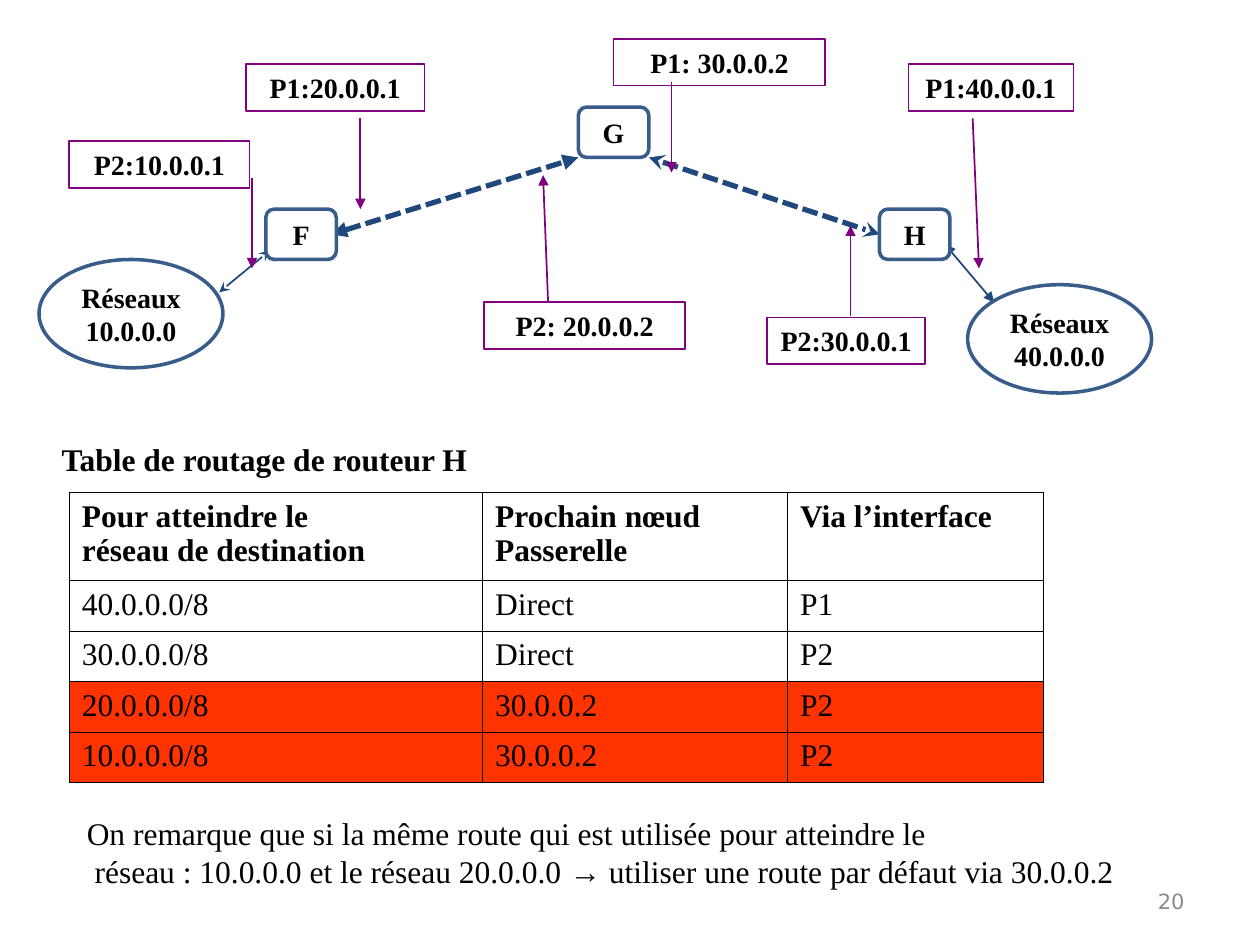
from lxml import etree
from pptx import Presentation
from pptx.dml.color import RGBColor
from pptx.enum.dml import MSO_LINE
from pptx.enum.shapes import MSO_CONNECTOR, MSO_SHAPE
from pptx.enum.text import MSO_ANCHOR, MSO_AUTO_SIZE, PP_ALIGN
from pptx.oxml.ns import qn
from pptx.util import Inches, Pt

STRAIGHT = MSO_CONNECTOR.STRAIGHT
DASHED = MSO_LINE.SQUARE_DOT
RECTANGLE, ROUNDED, OVAL = MSO_SHAPE.RECTANGLE, MSO_SHAPE.ROUNDED_RECTANGLE, MSO_SHAPE.OVAL
TOP, MIDDLE = MSO_ANCHOR.TOP, MSO_ANCHOR.MIDDLE
LEFT, CENTER, RIGHT = PP_ALIGN.LEFT, PP_ALIGN.CENTER, PP_ALIGN.RIGHT
FIT_SHAPE = MSO_AUTO_SIZE.SHAPE_TO_FIT_TEXT

WIDTH, HEIGHT = Inches(10), Inches(7.5)
GRID_COLUMNS, GRID_ROWS = 100, 75
SERIF = "Times New Roman"
BLACK, WHITE, RED, GREY = "000000", "FFFFFF", "FF3300", "898989"
NAVY, BLUE, PURPLE = "1F497D", "385D8A", "800080"
LEFT_SIDE = 1

LINKS = [
    (17.4, 23.2, 21.4, 19.9, "stealth", False),
    (26.3, 18.6, 45.9, 12.5, "triangle", True),
    (51.5, 12.5, 69.8, 18.6, "stealth", True),
    (75, 19.4, 78.9, 24, "triangle", False),
]
POINTERS = [
    (43.5, 24, 43.1, 13.9),
    (67.5, 25.1, 67.5, 17.9),
    (28.6, 9.4, 28.6, 16.6),
    (53.3, 6.5, 53.3, 13.7),
    (77.2, 9.4, 77.7, 21.3),
    (20, 14.1, 20, 21.3),
]
PORTS = [
    ("P2:10.0.0.1", 5.5, 11.2, 14.3),
    ("P2: 20.0.0.2", 38.4, 24, 16),
    ("P2:30.0.0.1", 60.9, 25.2, 12.5),
    ("P1:20.0.0.1", 19.5, 5.1, 14.2),
    ("P1:40.0.0.1", 72.1, 5.1, 13.1),
    ("P1: 30.0.0.2", 48.7, 3.1, 16.8),
]
ROUTERS = [("F", 21.1, 16.6), ("G", 45.9, 8.5), ("H", 69.8, 16.6)]
NETWORKS = [("Réseaux 40.0.0.0", 76.8, 22.6), ("Réseaux 10.0.0.0", 3.1, 20.6)]
ROUTES = [
    ("Pour atteindre le\nréseau de destination", "Prochain nœud Passerelle", "Via l’interface"),
    ("40.0.0.0/8", "Direct", "P1"),
    ("30.0.0.0/8", "Direct", "P2"),
    ("20.0.0.0/8", "30.0.0.2", "P2"),
    ("10.0.0.0/8", "30.0.0.2", "P2"),
]
REMARK = (
    "On remarque que si la même route qui est utilisée pour atteindre le\n"
    " réseau : 10.0.0.0 et le réseau 20.0.0.0 → utiliser une route par défaut via 30.0.0.2"
)


def column(count):
    return round(WIDTH * count / GRID_COLUMNS)


def row(count):
    return round(HEIGHT * count / GRID_ROWS)


def area(left, top, width, height):
    return column(left), row(top), column(width), row(height)


def color(value):
    return RGBColor.from_string(value)


def write(frame, text, size, bold=False, align=LEFT, font=SERIF, ink=BLACK):
    for index, words in enumerate(text.split("\n")):
        para = frame.add_paragraph() if index else frame.paragraphs[0]
        before, arrow, after = words.partition("→")
        for part in filter(None, (before, arrow, after)):
            span = para.add_run()
            span.text = part
            if part == "→":
                span.font.name = "Arial"
        para.alignment = align
        para.font.name = font
        para.font.size = Pt(size)
        para.font.bold = bold
        para.font.color.rgb = color(ink)


def add_text(page, text, place, size, wrap=False, anchor=TOP, **style):
    frame = page.shapes.add_textbox(*place).text_frame
    frame.word_wrap = wrap
    frame.vertical_anchor = anchor
    write(frame, text, size, **style)


def add_box(page, kind, text, place, outline, weight, fill=None, anchor=MIDDLE):
    box = page.shapes.add_shape(kind, *place)
    box.shadow.inherit = False
    if fill:
        box.fill.solid()
        box.fill.fore_color.rgb = color(fill)
    else:
        box.fill.background()
    box.line.color.rgb = color(outline)
    box.line.width = Pt(weight)
    box.text_frame.word_wrap = True
    box.text_frame.vertical_anchor = anchor
    write(box.text_frame, text, 16, bold=True, align=CENTER)
    return box


def add_port(page, text, left, top, width):
    box = add_box(page, RECTANGLE, text, area(left, top, width, 3.7), PURPLE, 1, anchor=TOP)
    box.text_frame.auto_size = FIT_SHAPE


def add_arrow(page, ends, ink, head=None, tail=None, dashed=False):
    x1, y1, x2, y2 = ends
    arrow = page.shapes.add_connector(STRAIGHT, column(x1), row(y1), column(x2), row(y2))
    arrow.line.color.rgb = color(ink)
    arrow.line.width = Pt(3 if dashed else 1)
    if dashed:
        arrow.line.dash_style = DASHED
    properties = arrow.element.spPr
    outline = properties.find(qn("a:ln"))
    for tag, kind in (("a:headEnd", head), ("a:tailEnd", tail)):
        if kind:
            etree.SubElement(outline, qn(tag), type=kind)
    etree.SubElement(properties, qn("a:effectLst"))
    return arrow


def add_border(cell):
    properties = cell._tc.get_or_add_tcPr()
    for index, side in enumerate(("a:lnL", "a:lnR", "a:lnT", "a:lnB")):
        edge = etree.Element(qn(side), w=str(Pt(0.45)))
        fill = etree.SubElement(edge, qn("a:solidFill"))
        etree.SubElement(fill, qn("a:srgbClr"), val=BLACK)
        properties.insert(index, edge)


def add_routes(page):
    place = area(5.5, 39.1, 77.3, 23)
    table = page.shapes.add_table(len(ROUTES), len(ROUTES[0]), *place).table
    for track, width in zip(table.columns, (32.8, 24.2, 20.3)):
        track.width = column(width)
    for number, texts in enumerate(ROUTES):
        table.rows[number].height = row(4 if number else 7)
        for position, text in enumerate(texts):
            cell = table.cell(number, position)
            cell.fill.solid()
            cell.fill.fore_color.rgb = color(RED if number > 2 else WHITE)
            add_border(cell)
            write(cell.text_frame, text, 18, bold=number == 0)


def add_network(page):
    links = [
        add_arrow(page, ends, NAVY, kind, kind, dashed)
        for *ends, kind, dashed in LINKS
    ]
    for ends in POINTERS:
        add_arrow(page, ends, PURPLE, tail="triangle")
    for port in PORTS:
        add_port(page, *port)
    routers = {
        name: add_box(page, ROUNDED, name, area(left, top, 5.6, 4), BLUE, 2, WHITE)
        for name, left, top in ROUTERS
    }
    links[2].end_connect(routers["H"], LEFT_SIDE)
    for name, left, top in NETWORKS:
        add_box(page, OVAL, name, area(left, top, 14.6, 8.6), BLUE, 2, WHITE)


def main():
    deck = Presentation()
    deck.slide_width, deck.slide_height = WIDTH, HEIGHT
    page = deck.slides.add_slide(deck.slide_layouts[6])
    add_routes(page)
    add_text(page, "Table de routage de routeur H", area(3.9, 34.4, 34.5, 4), 18, bold=True)
    add_network(page)
    add_text(page, REMARK, area(5.9, 64.1, 83.5, 7), 18)
    add_text(page, "20", area(71.7, 69.5, 23.3, 4), 12, wrap=True, anchor=MIDDLE,
             align=RIGHT, font="DejaVu Sans", ink=GREY)
    deck.save("out.pptx")


if __name__ == "__main__":
    main()
